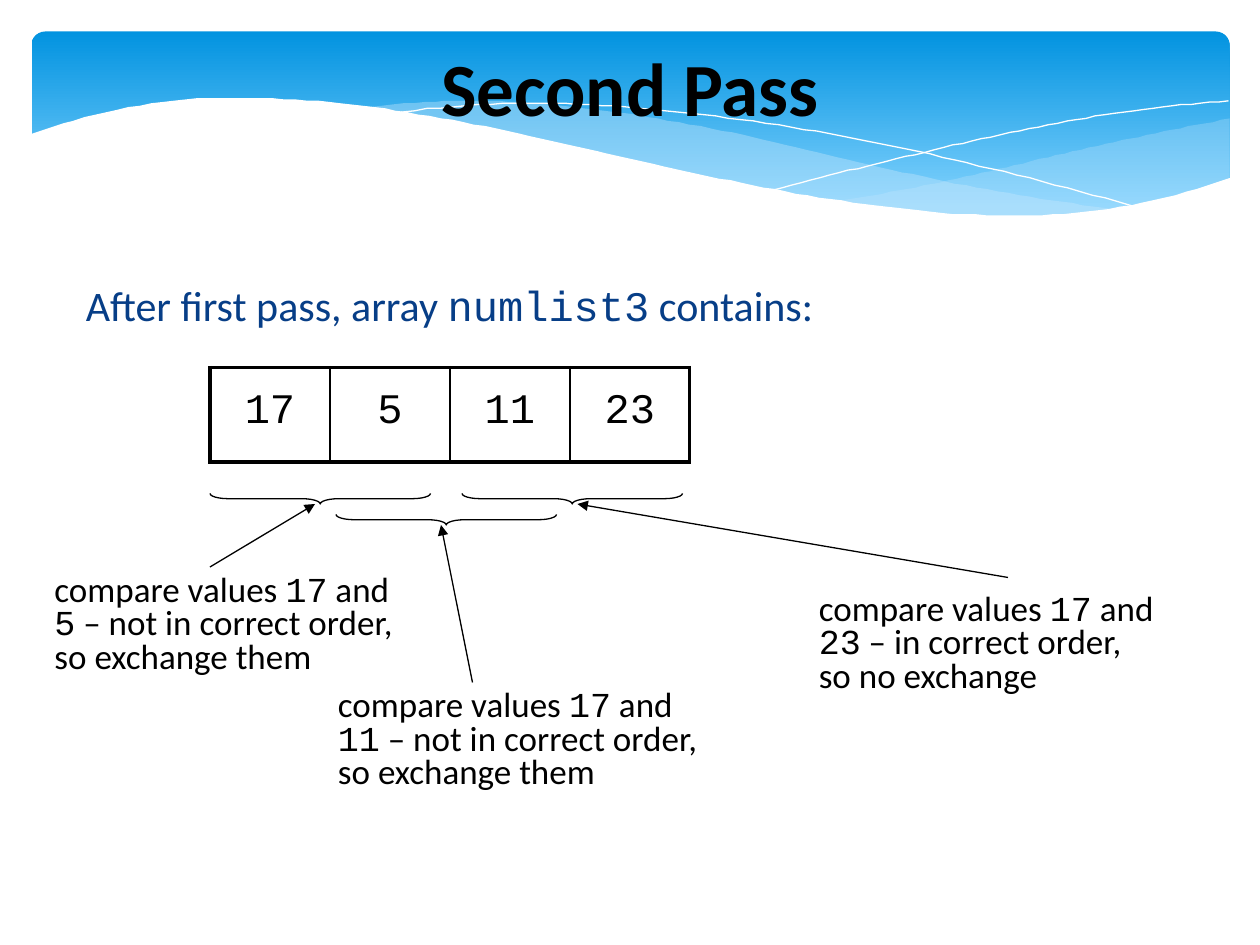
from lxml import etree
from pptx import Presentation
from pptx.dml.color import RGBColor
from pptx.enum.shapes import MSO_CONNECTOR, MSO_SHAPE
from pptx.enum.text import MSO_ANCHOR, PP_ALIGN
from pptx.oxml.ns import qn
from pptx.util import Inches, Pt

STRAIGHT = MSO_CONNECTOR.STRAIGHT
ROUNDED = MSO_SHAPE.ROUNDED_RECTANGLE
BRACE = MSO_SHAPE.RIGHT_BRACE
CENTER = PP_ALIGN.CENTER
LEFT = PP_ALIGN.LEFT
TOP = MSO_ANCHOR.TOP
MIDDLE = MSO_ANCHOR.MIDDLE

BLACK = RGBColor(0x00, 0x00, 0x00)
WHITE = RGBColor(0xFF, 0xFF, 0xFF)
NAVY = RGBColor(0x07, 0x3E, 0x87)
BAND_TOP = RGBColor(0x02, 0x93, 0xE0)
BAND_BOTTOM = RGBColor(0x83, 0xD3, 0xFE)
PALE_BLUE = RGBColor(0xC6, 0xE7, 0xFC)

CURVE_STEPS = 12
THIN = Pt(0.75)

presentation = Presentation()
presentation.slide_width = Inches(10)
presentation.slide_height = Inches(7.5)
slide = presentation.slides.add_slide(presentation.slide_layouts[6])
shapes = slide.shapes
CELL = presentation.slide_width // 120
THOUSANDTH = presentation.slide_width / 1000


def write_text(text_frame, text, size=20, color=BLACK, bold=False,
               align=LEFT, spacing=1.0, anchor=TOP, wrap=True):
    text_frame.word_wrap = wrap
    text_frame.vertical_anchor = anchor
    for number, line in enumerate(text.split("\n")):
        paragraph = text_frame.paragraphs[0] if number == 0 else text_frame.add_paragraph()
        paragraph.alignment = align
        paragraph.line_spacing = spacing
        for position, part in enumerate(line.split("`")):
            if part:
                run = paragraph.add_run()
                run.text = part
                run.font.name = "Courier New" if position % 2 else "Calibri"
                run.font.size = Pt(size)
                run.font.bold = bold
                run.font.color.rgb = color


def smooth_curve(left, right, heights):
    first, second, third = heights[:3]
    before = 3 * (first - second) + third
    third, second, first = heights[-3:]
    after = 3 * (first - second) + third
    knots = [before, *heights, after]
    spans = len(heights) - 1
    points = []
    for step in range(spans * CURVE_STEPS + 1):
        span = min(step // CURVE_STEPS, spans - 1)
        t = step / CURVE_STEPS - span
        previous, start, end, following = knots[span:span + 4]
        height = start + t / 2 * (
            end - previous
            + t * (2 * previous - 5 * start + 4 * end - following)
            + t * t * (3 * (start - end) + following - previous))
        points.append((left + (right - left) * step / (spans * CURVE_STEPS), height))
    return points


band = shapes.add_shape(ROUNDED, 3 * CELL, 3 * CELL, round(114.1 * CELL), round(18.7 * CELL))
band.shadow.inherit = False
band.adjustments[0] = 0.07
band.line.fill.background()
band.fill.gradient()
band.fill.gradient_angle = 270
for stop, position, color in zip(band.fill.gradient_stops, (0, 0.9), (BAND_TOP, BAND_BOTTOM)):
    stop.position = position
    stop.color.rgb = color

translucent_waves = (
    (661, 976, (160, 146, 128, 110, 94), (160, 169, 172, 165, 141), PALE_BLUE, 29),
    (286, 893, (86, 80, 89, 107, 131, 152, 167), (86, 102, 125, 148, 164, 173, 167),
     PALE_BLUE, 40),
)
wave_lines = (
    (309, 907, (90, 82, 90, 108, 134, 166), None, WHITE, 100),
    (613, 975, (151, 128, 107, 90, 80), None, WHITE, 100),
)
white_wave = (23, 977, (107, 81, 79, 92, 114, 138, 158, 170, 167, 141),
              (224, 224, 224), WHITE, 100)

for left, right, upper, lower, color, opacity in (*translucent_waves, *wave_lines, white_wave):
    outline = smooth_curve(left, right, upper)
    if lower:
        outline += reversed(smooth_curve(left, right, lower))
    builder = shapes.build_freeform(*outline[0], scale=THOUSANDTH)
    builder.add_line_segments(outline[1:], close=bool(lower))
    wave = builder.convert_to_shape()
    wave.shadow.inherit = False
    if lower:
        wave.line.fill.background()
        wave.fill.solid()
        wave.fill.fore_color.rgb = color
        fill_color = wave._element.spPr.find(qn("a:solidFill"))[0]
        etree.SubElement(fill_color, qn("a:alpha"), val=str(opacity * 1000))
    else:
        wave.fill.background()
        wave.line.color.rgb = color
        wave.line.width = 0

introduction = shapes.add_textbox(7 * CELL, 26 * CELL, 109 * CELL, 49 * CELL)
write_text(introduction.text_frame, "After first pass, array `numlist3` contains:",
           size=24, color=NAVY)

values = ("17", "5", "11", "23")
last = len(values) - 1
table = shapes.add_table(1, len(values), 20 * CELL, 35 * CELL,
                         round(45.7 * CELL), 9 * CELL).table
table.first_row = False
table.horz_banding = False
for index, value in enumerate(values):
    cell = table.cell(0, index)
    write_text(cell.text_frame, f"`{value}`", size=24, align=CENTER, spacing=1.3)
    properties = cell._tc.get_or_add_tcPr()
    border_widths = {"L": 2.25 if index == 0 else 1, "R": 2.25 if index == last else 1,
                     "T": 2.25, "B": 2.25}
    for side, width in border_widths.items():
        border = etree.SubElement(properties, qn(f"a:ln{side}"), w=str(Pt(width)))
        border_fill = etree.SubElement(border, qn("a:solidFill"))
        etree.SubElement(border_fill, qn("a:srgbClr"), val=str(BLACK))
    cell.fill.background()

note_height = round(10.8 * CELL)
swap = "not in correct order,\nso exchange them"
keep = "in correct order,\nso no exchange"
comparisons = (
    (5, swap, (4, 54.2, 38.3), (30, 37), (20, 54, 30, 48)),
    (11, swap, (31, 65.2, 40), (42, 39), (45, 65, 42, 50)),
    (23, keep, (76.8, 56, 37.3), (54, 37), (96, 55, 55, 48)),
)
for neighbour, outcome, note_place, brace_corner, arrow_ends in comparisons:
    note = shapes.add_textbox(*(round(part * CELL) for part in note_place), note_height)
    write_text(note.text_frame, f"compare values `17` and\n`{neighbour}` – {outcome}",
               spacing=0.8, wrap=False)

    brace = shapes.add_shape(BRACE, *(part * CELL for part in brace_corner), CELL, 21 * CELL)
    brace.shadow.inherit = False
    brace.rotation = 90
    brace.adjustments[0] = 1.75
    brace.fill.background()

    arrow = shapes.add_connector(STRAIGHT, *(part * CELL for part in arrow_ends))
    for stroke in (brace.line, arrow.line):
        stroke.color.rgb = BLACK
        stroke.width = THIN
    etree.SubElement(arrow.line._get_or_add_ln(), qn("a:tailEnd"), type="triangle")
    etree.SubElement(arrow._element.spPr, qn("a:effectLst"))

title = shapes.add_textbox(0, 0, presentation.slide_width, round(16.4 * CELL))
write_text(title.text_frame, "Second Pass", size=42.9, bold=True, align=CENTER, anchor=MIDDLE)

presentation.save("out.pptx")
